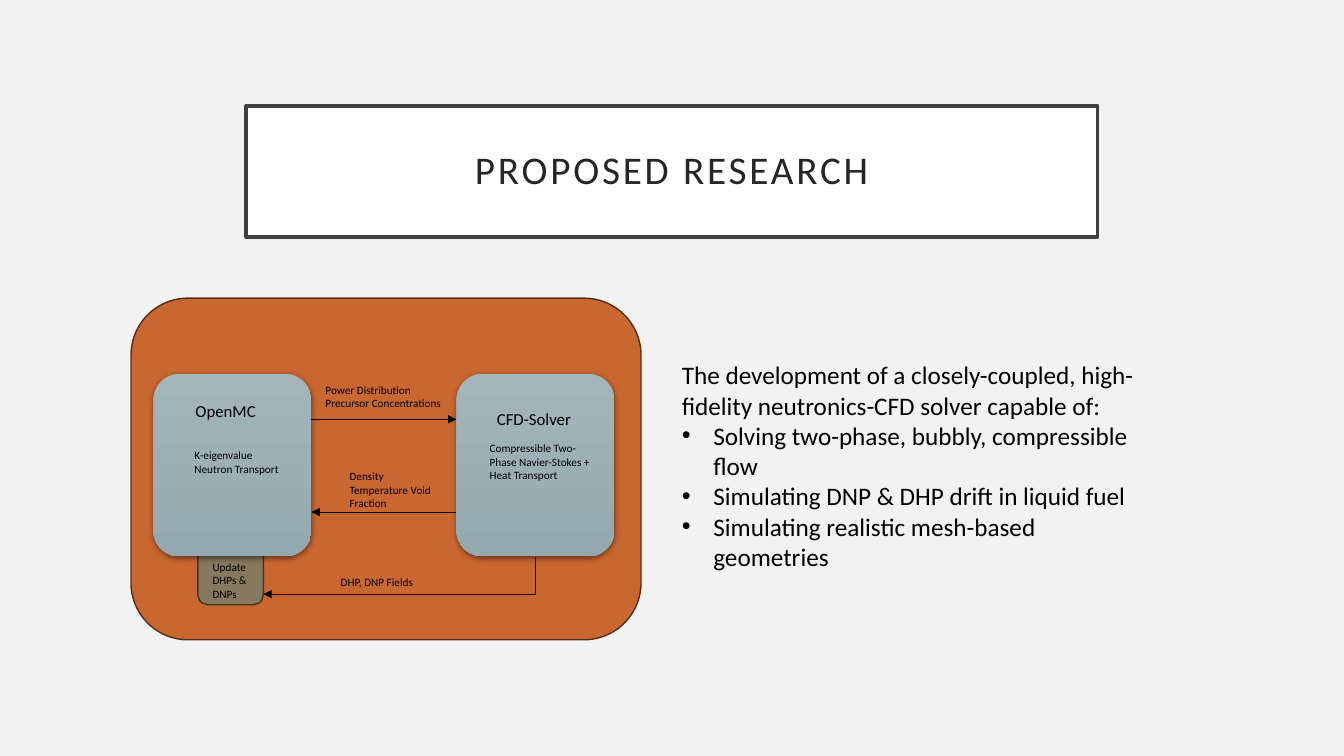
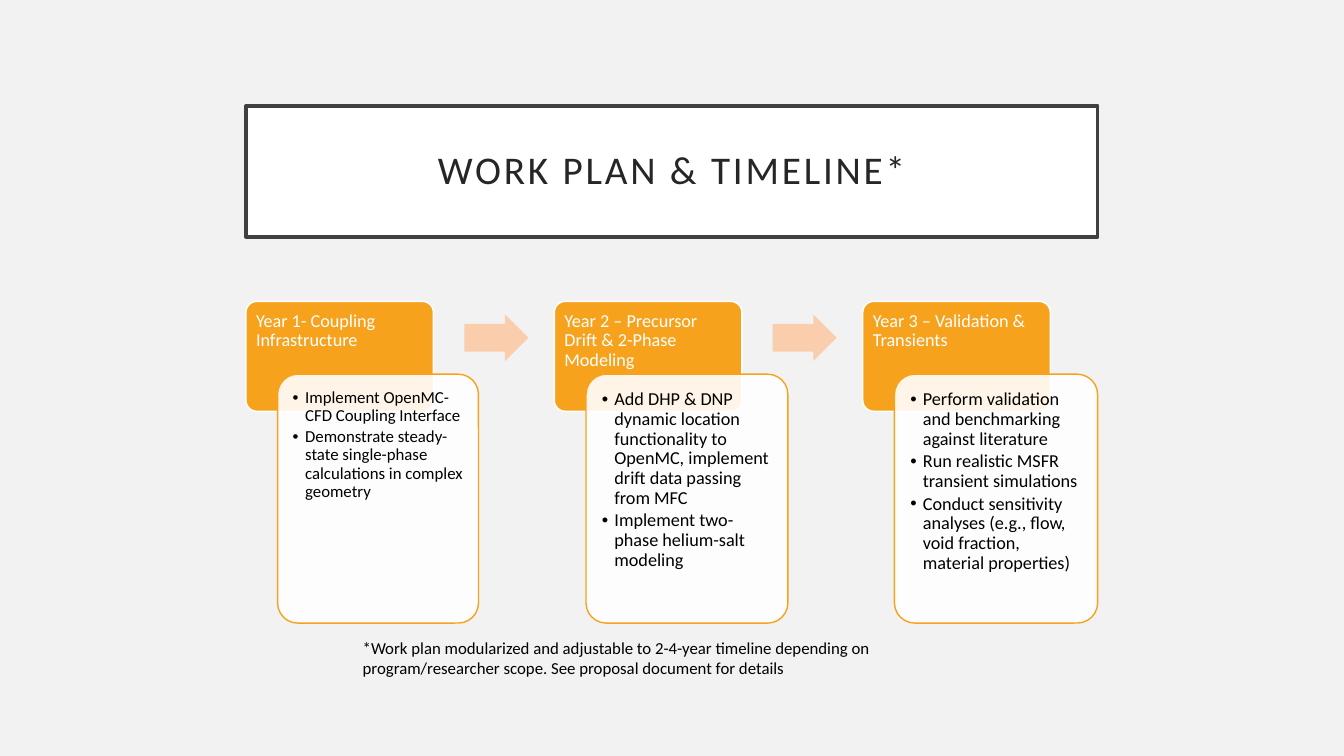
from pptx import Presentation
from pptx.dml.color import RGBColor
from pptx.enum.shapes import MSO_CONNECTOR, MSO_SHAPE
from pptx.enum.text import MSO_ANCHOR, PP_ALIGN
from pptx.oxml.ns import qn
from pptx.util import Pt
from lxml.etree import SubElement

FONT = "Calibri"
COLORS = {
    "background": "F2F2F2", "white": "FFFFFF", "black": "000000",
    "title_line": "404040", "title_text": "262626",
    "panel": "C96731", "panel_line": "582D15",
    "update": "87795D", "update_line": "3B3529",
    "solver_top": "A3B5BB", "solver_bottom": "93A9AF",
    "year": "F6A21D", "arrow": "FACEAC",
}

SOLVER_LEFTS = (109.5, 326)
SOLVER_TOP, SOLVER_WIDTH, SOLVER_HEIGHT = 267, 113, 130.5
LABELS = [
    ("Power Distribution Precursor Concentrations", 225.4, 270, 101, 27, 8),
    ("Density Temperature Void Fraction", 242.6, 332, 73, 36, 8),
    ("DHP, DNP Fields", 236.2, 407.5, 73, 17, 8),
    ("OpenMC", 132.5, 283, 71, 22, 12),
    ("CFD-Solver", 347.8, 288.7, 87, 22, 12),
    ("Compressible Two-Phase Navier-Stokes + Heat Transport", 342.7, 311.8, 89, 36, 8),
    ("K-eigenvalue Neutron Transport", 131.8, 316.8, 80, 27, 8),
    ("Update DHPs & DNPs", 144.7, 396.7, 54, 36, 8),
]
GOAL = "The development of a closely-coupled, high-fidelity neutronics-CFD solver capable of:"
ABILITIES = [
    "Solving two-phase, bubbly, compressible flow",
    "Simulating DNP & DHP drift in liquid fuel",
    "Simulating realistic mesh-based geometries",
]

YEARS = [
    {"heading": "Year 1- Coupling Infrastructure", "size": 12, "inset": 6.5, "width": 143.5,
     "tasks": ["Implement OpenMC-CFD Coupling Interface",
               "Demonstrate steady-state single-phase calculations in complex geometry"]},
    {"heading": "Year 2 – Precursor Drift & 2-Phase Modeling", "size": 13, "inset": 7.2, "width": 144.2,
     "tasks": ["Add DHP & DNP dynamic location functionality to OpenMC, "
               "implement drift data passing from MFC",
               "Implement two-phase helium-salt modeling"]},
    {"heading": "Year 3 – Validation & Transients", "size": 13, "inset": 7.2, "width": 145.2,
     "tasks": ["Perform validation and benchmarking against literature",
               "Run realistic MSFR transient simulations",
               "Conduct sensitivity analyses (e.g., flow, void fraction, material properties)"]},
]
YEAR_LEFT, YEAR_TOP, YEAR_PITCH = 175.7, 215.3, 220.3
FOOTNOTE = ("*Work plan modularized and adjustable to 2-4-year timeline depending on "
            "program/researcher scope. See proposal document for details")


def color(name):
    return RGBColor.from_string(COLORS[name])


def add_box(page, kind, left, top, width, height, fill, line=None, weight=1, rounding=None):
    box = page.shapes.add_shape(kind, Pt(left), Pt(top), Pt(width), Pt(height))
    box.shadow.inherit = False
    box.fill.solid()
    box.fill.fore_color.rgb = color(fill)
    if line:
        box.line.color.rgb = color(line)
        box.line.width = Pt(weight)
    else:
        box.line.fill.background()
    if rounding is not None:
        box.adjustments[0] = rounding
    return box


def write(box, texts, size, text_color="black", insets=(7.2, 3.6, 7.2, 3.6),
          anchor=MSO_ANCHOR.TOP, align=PP_ALIGN.LEFT, line_spacing=None,
          space_after=None, indent=None, first_bullet=0, tracking=None):
    frame = box.text_frame
    frame.word_wrap = True
    frame.vertical_anchor = anchor
    frame.margin_left, frame.margin_top, frame.margin_right, frame.margin_bottom = map(Pt, insets)
    for number, text in enumerate(texts):
        para = frame.paragraphs[0] if number == 0 else frame.add_paragraph()
        para.text = text
        para.alignment = align
        if line_spacing:
            para.line_spacing = line_spacing
        if space_after:
            para.space_after = Pt(space_after)
        if indent and number >= first_bullet:
            properties = para._p.get_or_add_pPr()
            properties.set("marL", str(Pt(indent)))
            properties.set("indent", str(-Pt(indent)))
            SubElement(properties, qn("a:buFont")).set("typeface", "Arial")
            SubElement(properties, qn("a:buChar")).set("char", "•")
        for span in para.runs:
            span.font.name = FONT
            span.font.size = Pt(size)
            span.font.color.rgb = color(text_color)
            if tracking:
                span._r.get_or_add_rPr().set("spc", str(tracking * 100))


def add_text(page, texts, left, top, width, height, size, **style):
    box = page.shapes.add_textbox(Pt(left), Pt(top), Pt(width), Pt(height))
    write(box, texts, size, **style)


def add_arrow(page, kind, start, end):
    arrow = page.shapes.add_connector(kind, *map(Pt, start + end))
    arrow.line.color.rgb = color("black")
    arrow.line.width = Pt(0.5)
    SubElement(arrow.line._get_or_add_ln(), qn("a:tailEnd")).set("type", "triangle")
    SubElement(arrow._element.spPr, qn("a:effectLst"))
    return arrow


def add_down_left_arrow(page, start, end):
    across, down = start[0] - end[0], end[1] - start[1]
    arrow = add_arrow(page, MSO_CONNECTOR.ELBOW, start, end)
    properties = arrow._element.spPr
    properties.find(qn("a:prstGeom")).set("prst", "bentConnector2")
    transform = properties.find(qn("a:xfrm"))
    transform.attrib.clear()
    transform.set("rot", "5400000")
    arrow.left = Pt((start[0] + end[0] - down) / 2)
    arrow.top = Pt((start[1] + end[1] - across) / 2)
    arrow.width, arrow.height = Pt(down), Pt(across)


def add_solver(page, left):
    solver = add_box(page, MSO_SHAPE.ROUNDED_RECTANGLE, left, SOLVER_TOP,
                     SOLVER_WIDTH, SOLVER_HEIGHT, "solver_top")
    solver.fill.gradient()
    solver.fill.gradient_angle = 270
    for stop, name, position in zip(solver.fill.gradient_stops, ("solver_top", "solver_bottom"), (0, 1)):
        stop.color.rgb = color(name)
        stop.position = position
    shadow = SubElement(solver._element.spPr.find(qn("a:effectLst")), qn("a:outerShdw"))
    for key, value in (("blurRad", Pt(4.4)), ("dist", Pt(1.2)), ("dir", 5400000), ("rotWithShape", 0)):
        shadow.set(key, str(value))
    tint = SubElement(shadow, qn("a:srgbClr"))
    tint.set("val", COLORS["black"])
    SubElement(tint, qn("a:alpha")).set("val", "45000")


def add_page(deck, title):
    page = deck.slides.add_slide(deck.slide_layouts[6])
    page.background.fill.solid()
    page.background.fill.fore_color.rgb = color("background")
    box = add_box(page, MSO_SHAPE.RECTANGLE, 175.7, 75.6, 608.4, 93.6, "white", "title_line", 2.5)
    write(box, [title], 28, "title_text", insets=(14.4,) * 4, anchor=MSO_ANCHOR.MIDDLE,
          align=PP_ALIGN.CENTER, line_spacing=0.9, tracking=2)
    return page


def build_research(deck):
    page = add_page(deck, "PROPOSED RESEARCH")
    rounded = MSO_SHAPE.ROUNDED_RECTANGLE
    add_box(page, rounded, 93.6, 213, 364.3, 244, "panel", "panel_line")
    add_box(page, rounded, 141.3, 388.8, 46.8, 43.2, "update", "update_line")
    for left in SOLVER_LEFTS:
        add_solver(page, left)
    neutronics_edge, fluid_edge = SOLVER_LEFTS[0] + SOLVER_WIDTH, SOLVER_LEFTS[1]
    add_arrow(page, MSO_CONNECTOR.STRAIGHT, (neutronics_edge, 299.5), (fluid_edge, 299.5))
    add_arrow(page, MSO_CONNECTOR.STRAIGHT, (fluid_edge, 365.8), (neutronics_edge, 365.8))
    add_down_left_arrow(page, (fluid_edge + SOLVER_WIDTH / 2, SOLVER_TOP + SOLVER_HEIGHT), (188.1, 424.4))
    for text, *place in LABELS:
        add_text(page, [text], *place)
    add_text(page, [GOAL] + ABILITIES, 480, 253.4, 345.6, 160, 18, indent=22.5, first_bullet=1)


def build_timeline(deck):
    page = add_page(deck, "WORK PLAN & TIMELINE*")
    for number, year in enumerate(YEARS):
        left = YEAR_LEFT + number * YEAR_PITCH
        heading = add_box(page, MSO_SHAPE.ROUNDED_RECTANGLE, left, YEAR_TOP, 133.9, 78.5,
                          "year", "white", rounding=0.1)
        write(heading, [year["heading"]], 13, "white", insets=(4.9, 4.9, 4.9, 3.6), line_spacing=0.9)
        tasks = add_box(page, MSO_SHAPE.ROUNDED_RECTANGLE, left + 22.6, YEAR_TOP + 52,
                        year["width"], 177.8, "white", "year", rounding=0.1)
        tint = tasks._element.spPr.find(qn("a:solidFill")).find(qn("a:srgbClr"))
        SubElement(tint, qn("a:alpha")).set("val", "90000")
        write(tasks, year["tasks"], year["size"], insets=(year["inset"],) * 4,
              line_spacing=0.9, space_after=2, indent=9)
        if number < len(YEARS) - 1:
            arrow = add_box(page, MSO_SHAPE.RIGHT_ARROW, left + 156, YEAR_TOP + 9.3, 45.7, 33.3,
                            "arrow", rounding=0.6)
            arrow.adjustments[1] = 0.5
    add_text(page, [FOOTNOTE], 252, 452.2, 455.8, 36, 12)


def main():
    deck = Presentation()
    deck.slide_width, deck.slide_height = Pt(960), Pt(540)
    build_research(deck)
    build_timeline(deck)
    deck.save("out.pptx")


if __name__ == "__main__":
    main()
